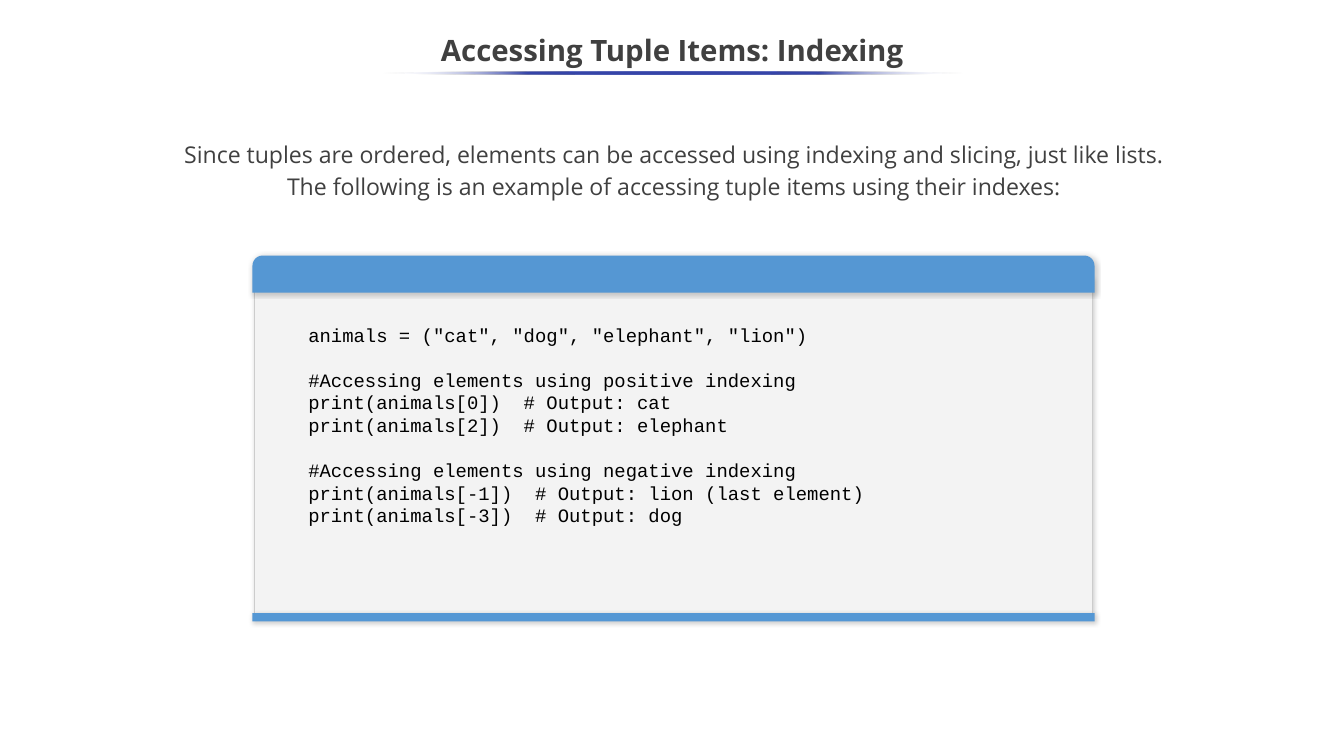
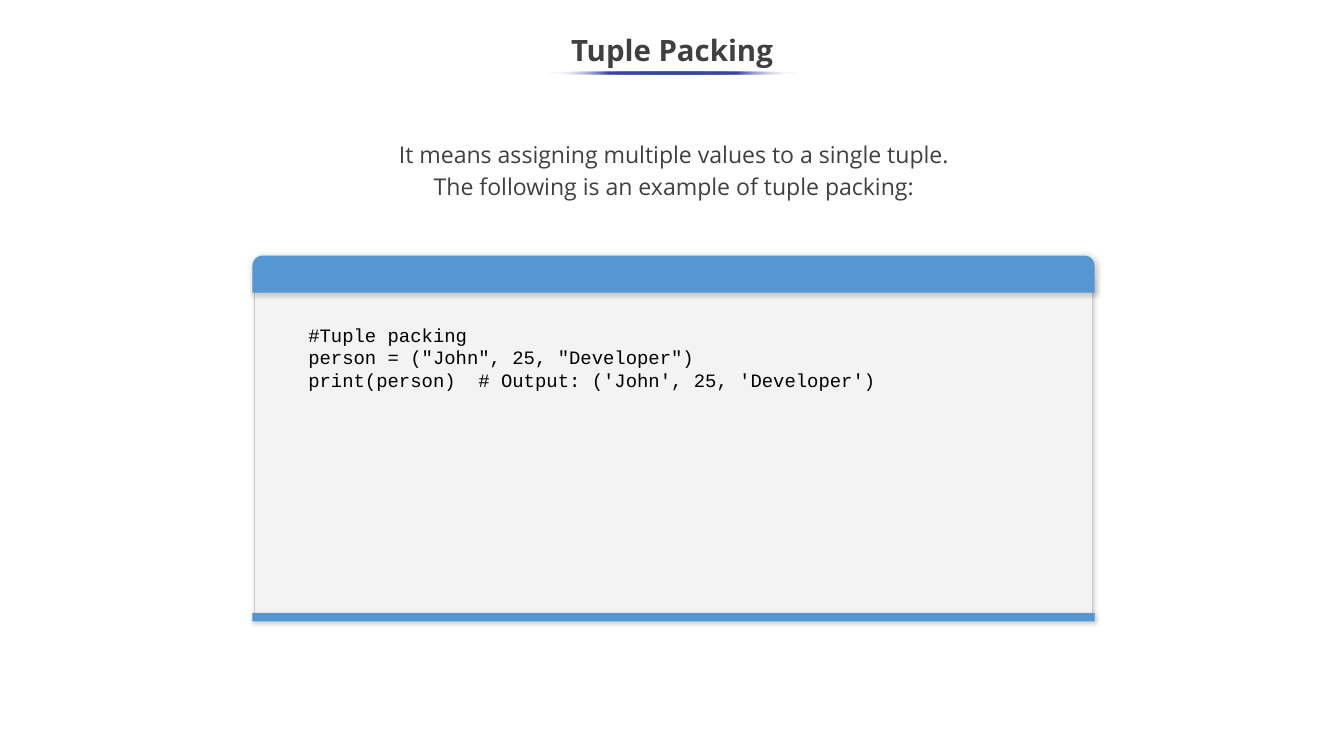
from lxml import etree
from pptx import Presentation
from pptx.dml.color import RGBColor
from pptx.enum.shapes import MSO_SHAPE
from pptx.enum.text import MSO_ANCHOR, MSO_AUTO_SIZE, PP_ALIGN
from pptx.oxml.ns import qn
from pptx.util import Inches, Pt

# Content: title, underline width, introduction, code blocks
SLIDES = [
    {
        "title": "Accessing Tuple Items: Indexing",
        "underline": 7.68,
        "intro": ["Since tuples are ordered, elements can be accessed using indexing "
                  "and slicing, just like lists. The following is an example of "
                  "accessing tuple items using their indexes:"],
        "code": [
            ['animals = ("cat", "dog", "elephant", "lion")'],
            ["#Accessing elements using positive indexing",
             "print(animals[0])  # Output: cat",
             "print(animals[2])  # Output: elephant"],
            ["#Accessing elements using negative indexing",
             "print(animals[-1])  # Output: lion (last element)",
             "print(animals[-3])  # Output: dog"],
        ],
    },
    {
        "title": "Tuple Packing",
        "underline": 3.34,
        "intro": ["It means assigning multiple values to a single tuple.",
                  "The following is an example of tuple packing:"],
        "code": [
            ["#Tuple packing",
             'person = ("John", 25, "Developer")',
             "print(person)  # Output: ('John', 25, 'Developer')"],
        ],
    },
]

# Shared style
TEXT = RGBColor(0x40, 0x40, 0x40)
CODE = RGBColor(0, 0, 0)
PANEL = RGBColor(0xF3, 0xF3, 0xF3)
PANEL_EDGE = RGBColor(0xCC, 0xCC, 0xCC)
HEADER_BLUE = RGBColor(0x55, 0x97, 0xD3)
FOOTER_BLUE = RGBColor(0x54, 0x97, 0xD4)
WHITE = RGBColor(0xFF, 0xFF, 0xFF)
INDIGO = RGBColor(0x36, 0x45, 0xA9)
UNDERLINE_STOPS = [(0, WHITE, 0), (25, INDIGO, 100), (50, INDIGO, 100),
                   (75, INDIGO, 100), (100, WHITE, 0)]
BODY_FONT, CODE_FONT = "Open Sans", "Courier New"
CODE_PITCH = Pt(21.5)
CENTER = 8.9
RECT, ELLIPSE = MSO_SHAPE.RECTANGLE, MSO_SHAPE.OVAL
ROUND_TOP = MSO_SHAPE.ROUND_2_SAME_RECTANGLE
MIDDLE, TOP = MSO_ANCHOR.MIDDLE, MSO_ANCHOR.TOP


def place(shape, left, top, width, height):
    shape.left, shape.top = Inches(left), Inches(top)
    shape.width, shape.height = Inches(width), Inches(height)


def set_frame(frame, anchor, side, vertical):
    frame.word_wrap = True
    frame.auto_size = MSO_AUTO_SIZE.NONE
    frame.vertical_anchor = anchor
    frame.margin_left = frame.margin_right = Inches(side)
    frame.margin_top = frame.margin_bottom = Inches(vertical)


def add_line(frame, index, text, font, size, color, bold=False):
    paragraph = frame.paragraphs[0] if index == 0 else frame.add_paragraph()
    run = paragraph.add_run()
    run.text = text
    run.font.name, run.font.size, run.font.bold = font, Pt(size), bold
    run.font.color.rgb = color
    return paragraph


def fill_placeholder(holder, box, lines, size, anchor, vertical, bold=False):
    place(holder, *box)
    set_frame(holder.text_frame, anchor, 0.1, vertical)
    for i, text in enumerate(lines):
        paragraph = add_line(holder.text_frame, i, text, BODY_FONT, size, TEXT, bold)
        paragraph.alignment = PP_ALIGN.CENTER
        paragraph.line_spacing = 1.15
        paragraph.space_before = Pt(0)
        properties = paragraph._p.get_or_add_pPr()
        properties.set("marL", "0")
        properties.set("indent", "0")
        etree.SubElement(properties, qn("a:buNone"))


def add_underline(slide, width):
    underline = slide.shapes.add_shape(
        ELLIPSE, Inches(CENTER - width / 2), Inches(0.95), Inches(width), Inches(0.04))
    underline.shadow.inherit = False
    underline.line.fill.background()
    underline.fill.gradient()
    underline.fill.gradient_angle = 180
    stops = underline._element.spPr.find(".//" + qn("a:gsLst"))
    for stop in list(stops):
        stops.remove(stop)
    for position, color, opacity in UNDERLINE_STOPS:
        stop = etree.SubElement(stops, qn("a:gs"), pos=str(position * 1000))
        tint = etree.SubElement(stop, qn("a:srgbClr"), val=str(color))
        etree.SubElement(tint, qn("a:alpha"), val=str(opacity * 1000))


def add_shadowed(group, kind, top, width, height, color):
    part = group.shapes.add_shape(
        kind, Inches(CENTER + 0.01 - width / 2), Inches(top), Inches(width), Inches(height))
    part.fill.solid()
    part.fill.fore_color.rgb = color
    part.line.fill.background()
    part.shadow.inherit = False
    effects = part._element.spPr.find(qn("a:effectLst"))
    shadow = etree.SubElement(effects, qn("a:outerShdw"), blurRad=str(Pt(4.5)),
                              dist=str(Pt(1.5)), dir=str(47 * 60000),
                              algn="tl", rotWithShape="0")
    tint = etree.SubElement(shadow, qn("a:srgbClr"), val="000000")
    etree.SubElement(tint, qn("a:alpha"), val="20000")
    return part


def add_code_window(slide, blocks):
    window = slide.shapes.add_group_shape()
    panel = add_shadowed(window, RECT, 3.68, 11.09, 4.43, PANEL)
    panel.line.color.rgb = PANEL_EDGE
    panel.line.width = Pt(0.75)
    add_shadowed(window, RECT, 8.11, 11.14, 0.11, FOOTER_BLUE)
    header = add_shadowed(window, ROUND_TOP, 3.38, 11.14, 0.49, HEADER_BLUE)
    header.adjustments[0] = 0.275

    listing = window.shapes.add_textbox(Inches(3.98), Inches(4.18), Inches(9.85), Inches(3.6))
    set_frame(listing.text_frame, TOP, 0.1, 0.1)
    index = 0
    for block in blocks:
        for row, text in enumerate(block):
            paragraph = add_line(listing.text_frame, index, text, CODE_FONT, 18, CODE)
            paragraph.line_spacing = CODE_PITCH
            if row == 0 and index > 0:
                paragraph.space_before = CODE_PITCH
            index += 1


def main():
    deck = Presentation()
    deck.slide_width, deck.slide_height = Inches(17.78), Inches(10)
    for content in SLIDES:
        slide = deck.slides.add_slide(deck.slide_layouts[1])
        title, intro = slide.placeholders
        fill_placeholder(title, (-0.01, 0.25, 17.8, 0.75), [content["title"]],
                         28, MIDDLE, 0.05, bold=True)
        fill_placeholder(intro, (2.1, 1.8, 13.63, 0.99), content["intro"], 22, TOP, 0)
        add_underline(slide, content["underline"])
        add_code_window(slide, content["code"])
    deck.save("out.pptx")


if __name__ == "__main__":
    main()
